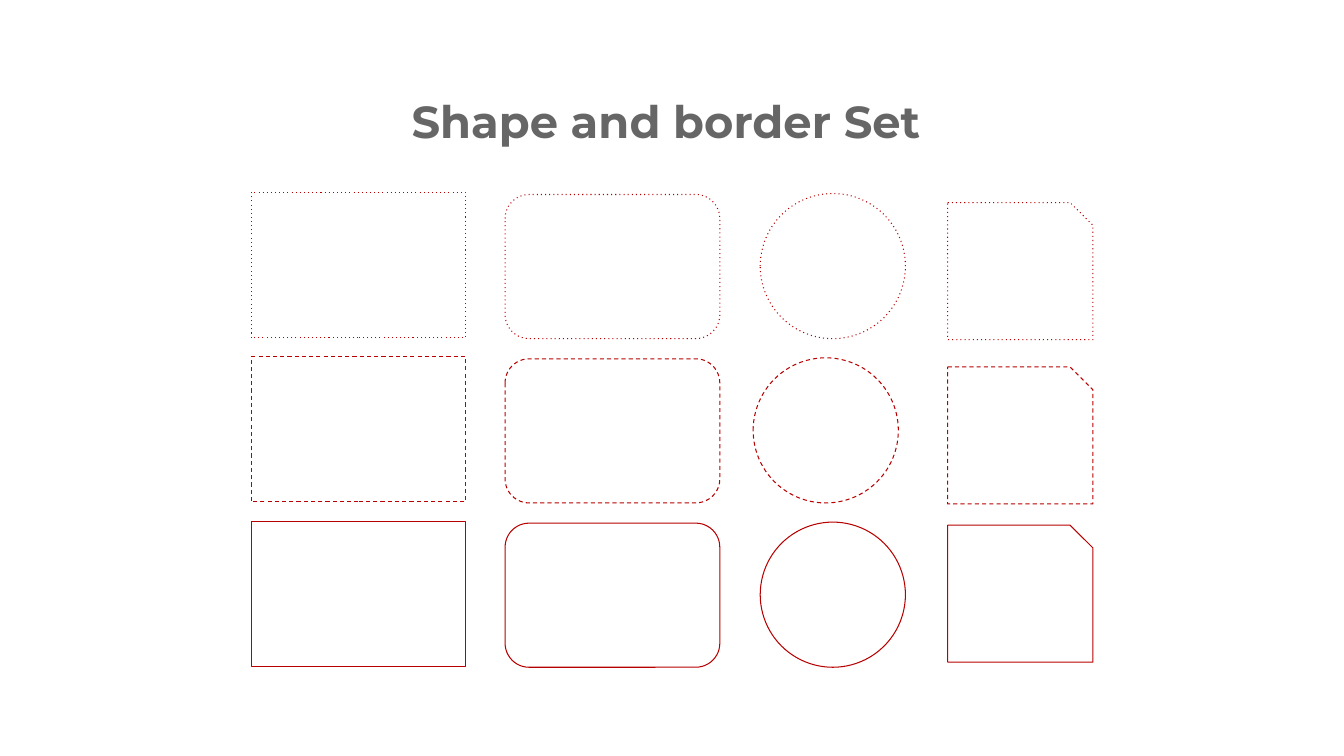
from dataclasses import dataclass

from pptx import Presentation
from pptx.dml.color import RGBColor
from pptx.enum import dml, shapes, text
from pptx.oxml.ns import qn
from pptx.util import Inches, Pt


@dataclass(frozen=True)
class Theme:
    font: str = "Montserrat"
    ink: str = "666666"
    edge: str = "B70000"
    title: float = 32
    line: float = 0.75


THEME = Theme()
KIND = shapes.MSO_SHAPE
DASHES = ("dot", "dash", None)


def write(slide, words, box, *, size, color, bold=False, inset=0.13):
    label = slide.shapes.add_textbox(*map(Inches, box))
    frame = label.text_frame
    frame.word_wrap = True
    frame.vertical_anchor = text.MSO_ANCHOR.TOP
    frame.margin_left = frame.margin_right = Inches(inset)
    frame.margin_top = frame.margin_bottom = Inches(inset)
    para = frame.paragraphs[0]
    para.alignment = text.PP_ALIGN.CENTER
    run = para.add_run()
    run.text = words
    run.font.name = THEME.font
    run.font.size = Pt(size)
    run.font.bold = bold
    run.font.color.rgb = RGBColor.from_string(color)


def outline(slide, kind, box, dash):
    shape = slide.shapes.add_shape(kind, *map(Inches, box))
    shape.shadow.inherit = False
    shape.fill.background()
    shape.line.color.rgb = RGBColor.from_string(THEME.edge)
    shape.line.width = Pt(THEME.line)
    if dash:
        shape.line.dash_style = dml.MSO_LINE.DASH
        shape.line._ln.find(qn("a:prstDash")).set("val", dash)


def border_set(slide, left, top, pitch=1.63):
    columns = (
        (KIND.RECTANGLE, 0, 0, 2.13, 1.44, {}),
        (KIND.ROUNDED_RECTANGLE, 2.52, 0.02, 2.13, 1.43, {}),
        (KIND.OVAL, 5.05, 0.01, 1.44, 1.44, {"dash": (-0.07, 0)}),
        (KIND.SNIP_1_RECTANGLE, 6.91, 0.1, 1.44, 1.36, {None: (0, -0.06)}),
    )
    for kind, x, y, width, height, shifts in columns:
        for row, dash in enumerate(DASHES):
            dx, dy = shifts.get(dash, (0, 0))
            box = (left + x + dx, top + y + row * pitch + dy, width, height)
            outline(slide, kind, box, dash)


def main():
    deck = Presentation()
    deck.slide_width = Inches(13.33)
    deck.slide_height = Inches(7.5)
    slide = deck.slides.add_slide(deck.slide_layouts[6])
    write(slide, "Shape and border Set ", (1.53, 0.8, 10.28, 0.7),
          size=THEME.title, color=THEME.ink, bold=True)
    border_set(slide, 2.49, 1.91)
    deck.save("out.pptx")


if __name__ == "__main__":
    main()
